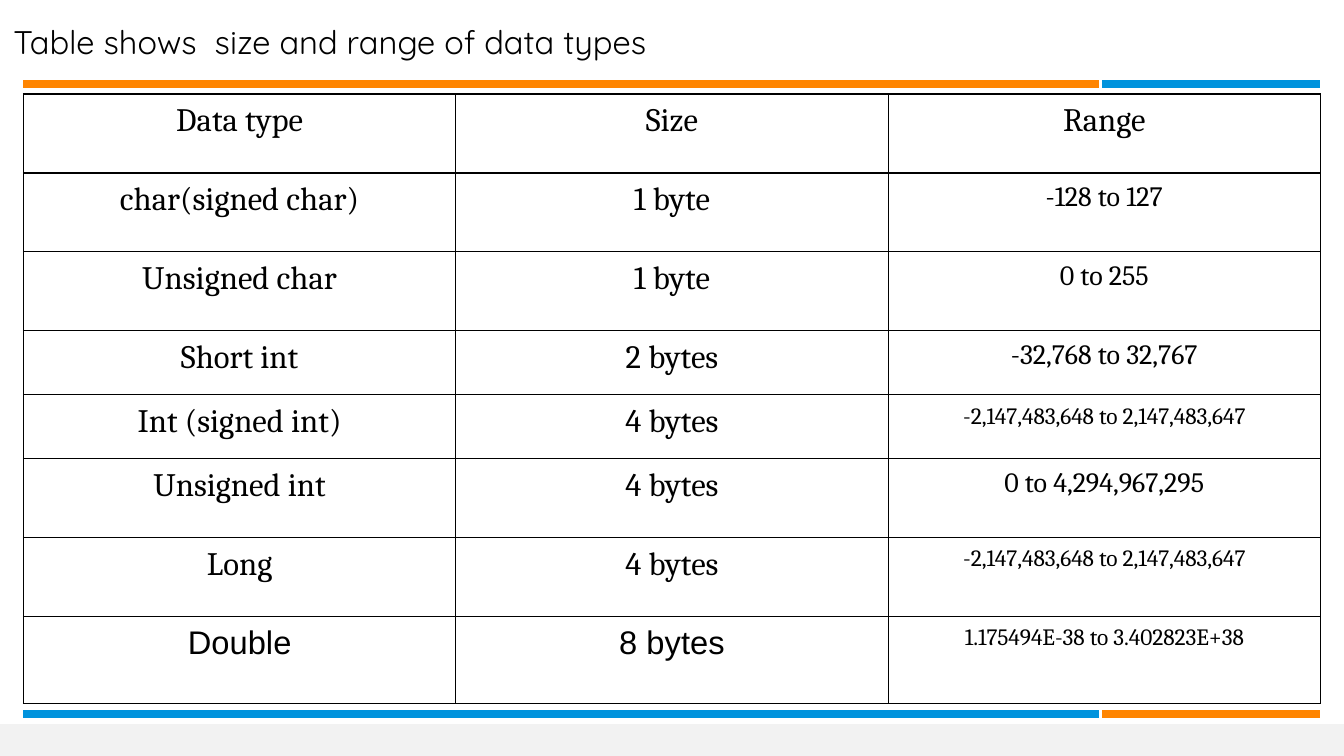
from dataclasses import dataclass
from lxml.etree import SubElement
from pptx import Presentation
from pptx.dml.color import RGBColor
from pptx.enum.shapes import MSO_CONNECTOR, MSO_SHAPE
from pptx.enum.text import MSO_ANCHOR, MSO_AUTO_SIZE, PP_ALIGN
from pptx.oxml.ns import qn
from pptx.util import Inches, Pt


@dataclass(frozen=True)
class Theme:
    ink: str = "000000"
    paper: str = "FFFFFF"
    band: str = "F2F2F2"
    warm: str = "FF8500"
    cool: str = "0093DD"
    head: str = "Quicksand"
    body: str = "Cambria"
    plain: str = "Arial"
    large: float = 14
    mid: float = 12
    small: float = 10
    rule: float = 3
    edge: float = 0.57


THEME = Theme()
WIDE, HIGH = 8, 4.5
LEFT, RIGHT, TOP = 0.14, 7.86, 0.56
SPLIT, GAP = 6.54, 0.02
TALL, SHORT, LAST = 0.47, 0.38, 0.52
BIG, MID, LOW = THEME.large, THEME.mid, THEME.small

ROWS = [
    (TALL, BIG, "Data type", "Size", "Range"),
    (TALL, MID, "char(signed char)", "1 byte", "-128 to 127"),
    (TALL, MID, "Unsigned char", "1 byte", "0 to 255"),
    (SHORT, MID, "Short int", "2 bytes", "-32,768 to 32,767"),
    (SHORT, LOW, "Int (signed int)", "4 bytes", "-2,147,483,648 to 2,147,483,647"),
    (TALL, MID, "Unsigned int", "4 bytes", "0 to 4,294,967,295"),
    (TALL, LOW, "Long", "4 bytes", "-2,147,483,648 to 2,147,483,647"),
    (LAST, LOW, "Double", "8 bytes", "1.175494E-38 to 3.402823E+38"),
]


def apply(item, form):
    for name, value in form.items():
        setattr(item, name, value)


def place(item, left, top, width, height):
    box = dict(left=left, top=top, width=width, height=height)
    apply(item, {name: Inches(value) for name, value in box.items()})


def style(para, face, size):
    apply(para.font, dict(name=face, size=Pt(size), bold=False))
    para.font.color.rgb = RGBColor.from_string(THEME.ink)


def add_band(slide):
    top = 4.31
    band = slide.shapes.add_shape(
        MSO_SHAPE.RECTANGLE, 0, Inches(top), Inches(WIDE), Inches(HIGH - top))
    band.shadow.inherit = False
    band.fill.solid()
    band.fill.fore_color.rgb = RGBColor.from_string(THEME.band)
    band.line.fill.background()


def add_rule(slide, top, hues):
    spans = [(LEFT, SPLIT), (SPLIT + GAP, RIGHT)]
    for (start, end), hue in zip(spans, hues):
        rule = slide.shapes.add_connector(
            MSO_CONNECTOR.STRAIGHT, Inches(start), Inches(top), Inches(end), Inches(top))
        rule.line.width = Pt(THEME.rule)
        rule.line.color.rgb = RGBColor.from_string(hue)
        SubElement(rule.element.spPr, qn("a:effectLst"))


def set_title(slide, text):
    title = slide.shapes.title
    place(title, 0.08, 0.07, 7.17, 0.35)
    frame = title.text_frame
    apply(frame, dict(
        text=text, word_wrap=True, auto_size=MSO_AUTO_SIZE.NONE,
        vertical_anchor=MSO_ANCHOR.MIDDLE,
        margin_left=0, margin_right=0, margin_top=0, margin_bottom=0))
    para = frame.paragraphs[0]
    para.alignment = PP_ALIGN.LEFT
    style(para, THEME.head, THEME.large)


def add_edges(cell):
    props = cell._tc.get_or_add_tcPr()
    for side in ("a:lnL", "a:lnR", "a:lnT", "a:lnB"):
        edge = SubElement(props, qn(side), w=str(int(Pt(THEME.edge))))
        fill = SubElement(edge, qn("a:solidFill"))
        SubElement(fill, qn("a:srgbClr"), val=THEME.ink)


def fill_cell(cell, text, face, size):
    add_edges(cell)
    cell.fill.solid()
    cell.fill.fore_color.rgb = RGBColor.from_string(THEME.paper)
    cell.text = text
    para = cell.text_frame.paragraphs[0]
    para.alignment = PP_ALIGN.CENTER
    style(para, face, size)


def add_grid(slide):
    high = sum(row[0] for row in ROWS)
    grid = slide.shapes.add_table(
        len(ROWS), 3, Inches(LEFT), Inches(TOP), Inches(RIGHT - LEFT), Inches(high)).table
    apply(grid, dict(first_row=False, horz_banding=False))
    for r, (height, size, *texts) in enumerate(ROWS):
        grid.rows[r].height = Inches(height)
        face = THEME.plain if r == len(ROWS) - 1 else THEME.body
        faces = (face, face, THEME.body)
        sizes = (THEME.large, THEME.large, size)
        for c, parts in enumerate(zip(texts, faces, sizes)):
            fill_cell(grid.cell(r, c), *parts)


def main():
    deck = Presentation()
    apply(deck, dict(slide_width=Inches(WIDE), slide_height=Inches(HIGH)))
    slide = deck.slides.add_slide(deck.slide_layouts[5])
    add_band(slide)
    add_rule(slide, 0.5, (THEME.warm, THEME.cool))
    add_rule(slide, 4.25, (THEME.cool, THEME.warm))
    set_title(slide, "Table shows  size and range of data types")
    add_grid(slide)
    deck.save("out.pptx")


if __name__ == "__main__":
    main()
